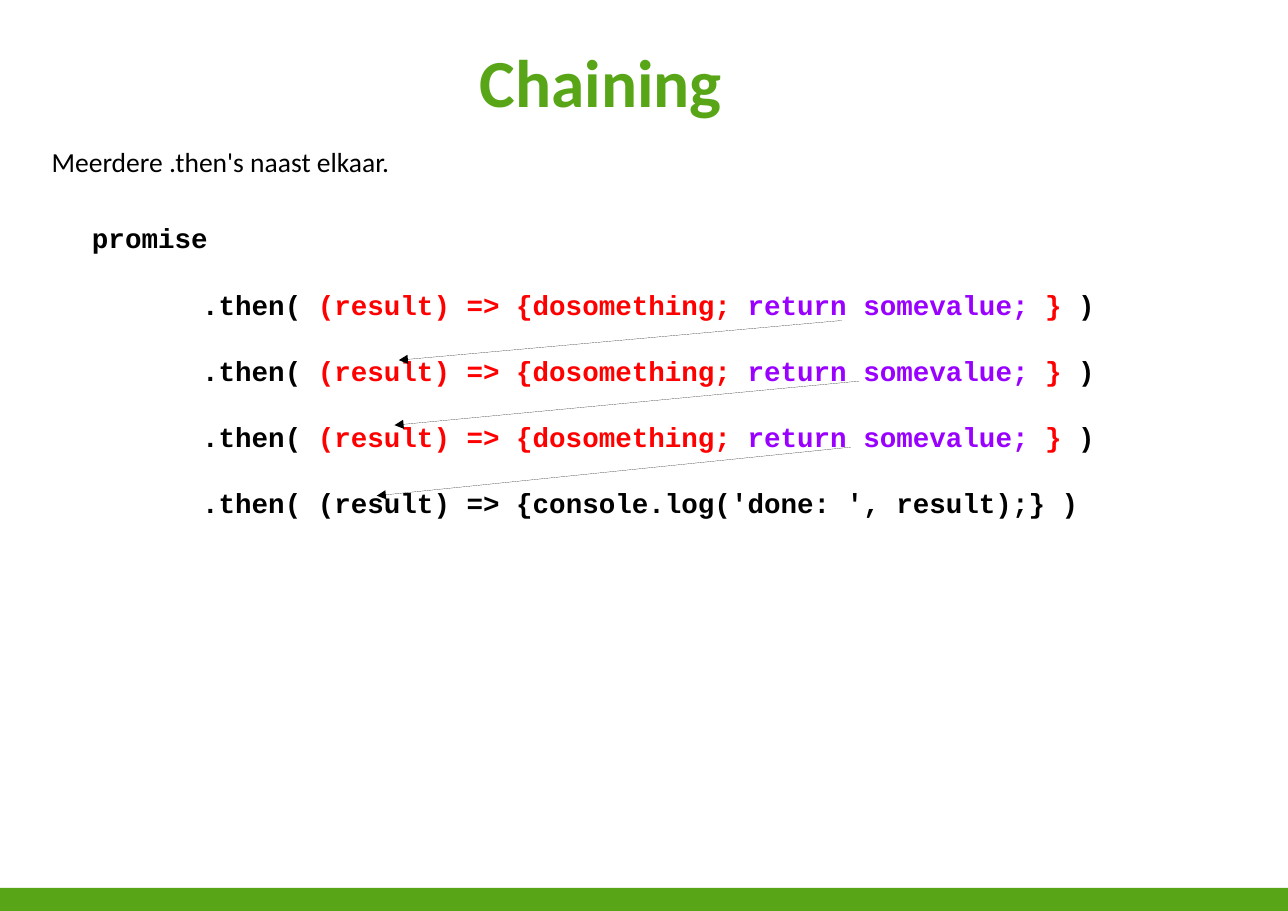
"""Build the slide on chaining promise handlers."""
from lxml import etree
from pptx import Presentation
from pptx import util as u
from pptx.dml.color import RGBColor
from pptx.enum import shapes, text
from pptx.oxml.ns import qn

GREEN, BLACK, RED, PURPLE = "58A618", "000000", "FF0000", "9900FF"
WIDTH, HEIGHT = 841.68, 595.44
BAR_TOP, BAR_HEIGHT = 580.32, 15.5
TAB_STOP = 72

TITLE = [[("Chaining", GREEN)]]
INTRO = [[("Meerdere .then's naast elkaar.", BLACK)]]
STEP = [
    ("\t.then( ", BLACK),
    ("(result) => {dosomething; ", RED),
    ("return somevalue;", PURPLE),
    (" } ", RED),
    (")", BLACK),
]
LAST_STEP = [("\t.then( (result) => {console.log('done: ', result);} )", BLACK)]
CODE = [[("promise", BLACK)]] + [STEP] * 3 + [LAST_STEP]
ARROWS = [
    ((550, 209.5), (260.6, 235.4)),
    ((561.6, 249.1), (257.8, 277.9)),
    ((555.8, 292.3), (246.2, 324)),
]


def color(value):
    return RGBColor.from_string(value)


def add_block(s, box, fill=None):
    sp = s.shapes.add_shape(shapes.MSO_SHAPE.RECTANGLE, *map(u.Pt, box))
    sp.shadow.inherit = False
    sp.line.fill.background()
    if fill:
        sp.fill.solid()
        sp.fill.fore_color.rgb = color(fill)
    else:
        sp.fill.background()
    return sp


def write(sp, lines, font, size, bold=False, gap=0,
          align=text.PP_ALIGN.LEFT, anchor=text.MSO_ANCHOR.TOP):
    tf = sp.text_frame
    tf.word_wrap = True
    tf.vertical_anchor = anchor
    for i, line in enumerate(lines):
        p = tf.add_paragraph() if i else tf.paragraphs[0]
        p.alignment = align
        p.font.name, p.font.size, p.font.bold = font, u.Pt(size), bold
        if i:
            p.space_before = u.Pt(gap)
            tabs = etree.Element(qn("a:tabLst"))
            etree.SubElement(tabs, qn("a:tab"), pos=str(u.Pt(TAB_STOP)), algn="l")
            p._p.pPr.find(qn("a:spcBef")).addnext(tabs)
        for words, shade in line:
            r = p.add_run()
            r.text = words
            r.font.color.rgb = color(shade)


def add_arrow(s, start, end):
    c = s.shapes.add_connector(shapes.MSO_CONNECTOR.STRAIGHT,
                               *map(u.Pt, start + end))
    c.line.color.rgb = color(BLACK)
    ln = c.line._get_or_add_ln()
    ln.set("w", "0")
    etree.SubElement(ln, qn("a:tailEnd"), type="triangle")
    etree.SubElement(c._element.spPr, qn("a:effectLst"))


def main():
    prs = Presentation()
    prs.slide_width, prs.slide_height = u.Pt(WIDTH), u.Pt(HEIGHT)
    s = prs.slides.add_slide(prs.slide_layouts[6])

    add_block(s, (0, BAR_TOP, WIDTH, BAR_HEIGHT), GREEN)
    title = add_block(s, (-24.2, 19.44, 833.76, 66.24))
    write(title, TITLE, "Calibri", 44, bold=True,
          align=text.PP_ALIGN.CENTER, anchor=text.MSO_ANCHOR.MIDDLE)
    code = s.shapes.add_textbox(*map(u.Pt, (53, 141.12, 785.52, 142.56)))
    write(code, CODE, "Courier New", 18, bold=True, gap=21.7)
    intro = s.shapes.add_textbox(*map(u.Pt, (26.64, 91.1, 699.12, 55.44)))
    write(intro, INTRO, "Calibri", 18)
    for start, end in ARROWS:
        add_arrow(s, start, end)
    prs.save("out.pptx")


if __name__ == "__main__":
    main()
